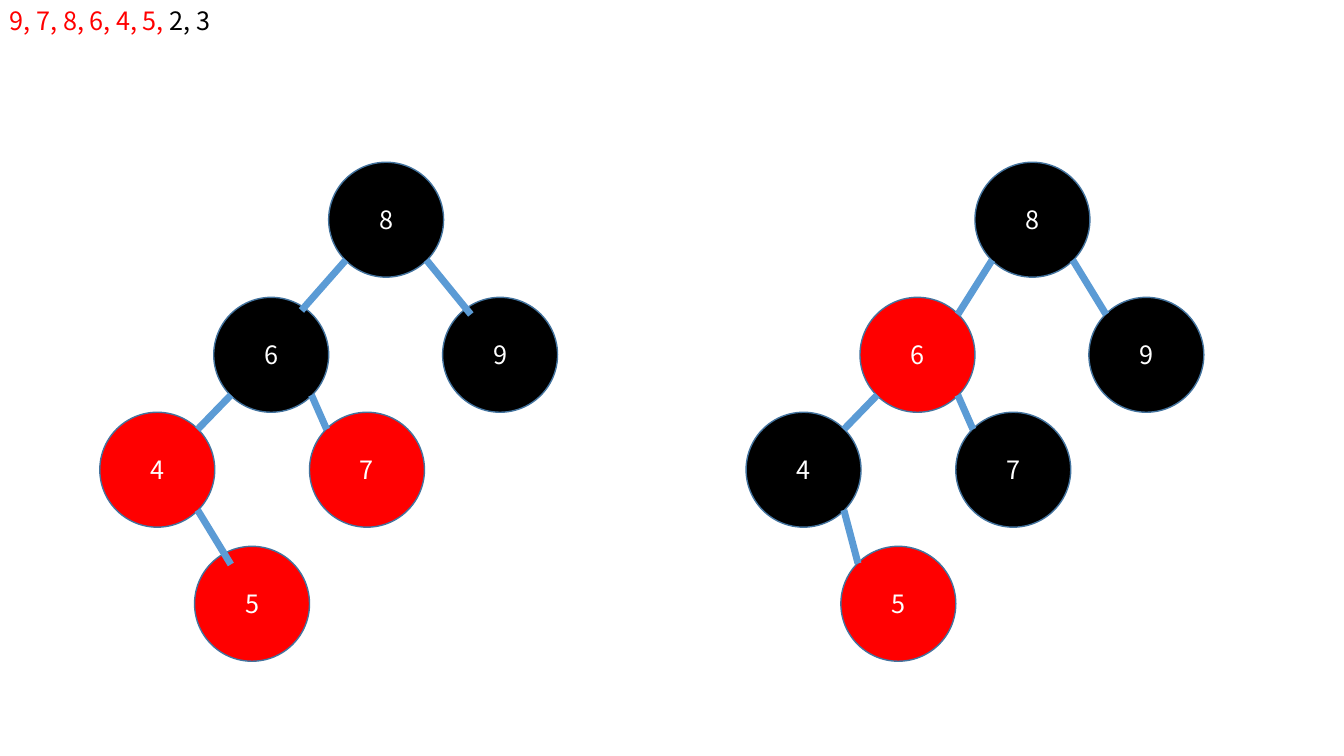
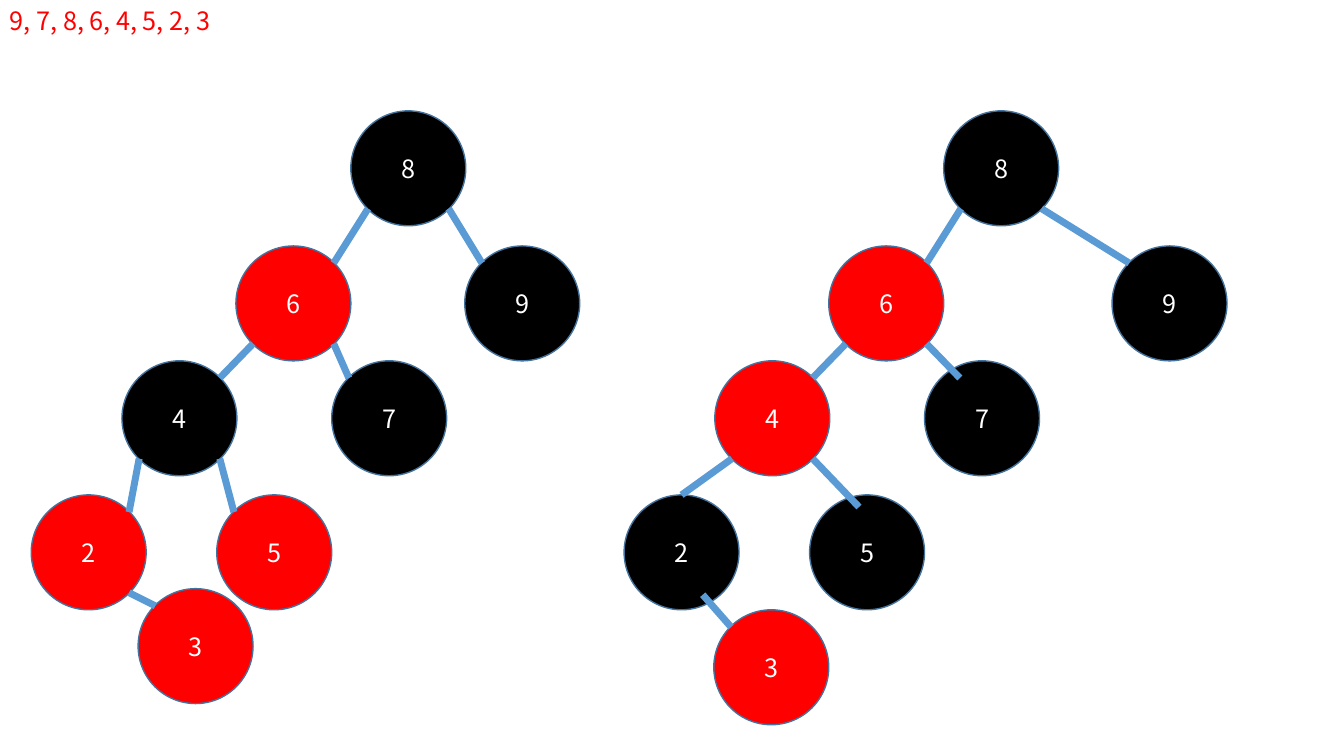
from dataclasses import dataclass, field

from pptx import Presentation
from pptx.dml.color import RGBColor
from pptx.enum.shapes import MSO_CONNECTOR as CONNECTOR, MSO_SHAPE as SHAPE
from pptx.enum.text import MSO_ANCHOR as ANCHOR, MSO_AUTO_SIZE as AUTO_SIZE, PP_ALIGN as ALIGN
from pptx.oxml.ns import qn
from pptx.util import Inches, Pt
from lxml.etree import SubElement

COLORS = {
    "red": "FF0000",
    "black": "000000",
    "label": "FFFFFF",
    "outline": "43739E",
    "edge": "5B9BD5",
}
FONT_FORMAT = {"name": "Noto Sans CJK KR", "size": Pt(18)}
NODE_TEXT_FORMAT = {"vertical_anchor": ANCHOR.MIDDLE, "word_wrap": True}
SEQUENCE_TEXT_FORMAT = {"word_wrap": True, "auto_size": AUTO_SIZE.SHAPE_TO_FIT_TEXT}

NODE_SIZE = 1.14
NEAR, FAR = 0.17, 0.97
TOP_SITE = 0
TOP_CENTER = (NODE_SIZE / 2, 0)
ROOT = 8
PARENTS = {6: 8, 9: 8, 4: 6, 7: 6, 5: 4, 2: 4, 3: 2}
OFFSETS = {
    8: (0, 0),
    6: (-1.14, 1.34),
    9: (1.13, 1.34),
    4: (-2.27, 2.48),
    7: (-0.19, 2.48),
    5: (-1.33, 3.81),
    2: (-3.17, 3.81),
    3: (-2.11, 4.74),
}


@dataclass
class Tree:
    left: float
    top: float
    keys: tuple
    red: tuple
    moved: dict = field(default_factory=dict)
    edge_starts: dict = field(default_factory=dict)
    edge_ends: dict = field(default_factory=dict)


BEFORE_RECOLOR = Tree(
    3.26, 1.61, (8, 6, 9, 4, 7, 5), (4, 7, 5),
    edge_ends={6: (0.87, 0.13), 9: (0.28, NEAR), 5: (0.36, 0.18)},
)
AFTER_RECOLOR = Tree(9.67, 1.61, (8, 6, 9, 4, 7, 5), (6, 5))
BEFORE_SPLIT = Tree(3.48, 1.1, (8, 6, 9, 4, 7, 5, 2, 3), (6, 5, 2, 3))
AFTER_SPLIT = Tree(
    9.36, 1.1, (8, 6, 9, 4, 7, 5, 2, 3), (6, 4, 3),
    moved={9: (1.67, 1.34), 3: (-2.28, 4.95)},
    edge_starts={3: (0.78, 0.99)},
    edge_ends={7: (0.35, NEAR), 5: (0.49, 0.12), 2: TOP_CENTER},
)

SLIDES = [
    ([("9, 7, 8, 6, 4, 5,", "red"), (" 2, 3", "black")], [BEFORE_RECOLOR, AFTER_RECOLOR]),
    ([("9, 7, 8, 6, 4, 5, 2, 3", "red")], [BEFORE_SPLIT, AFTER_SPLIT]),
]


def color(name):
    return RGBColor.from_string(COLORS[name])


def apply_format(target, values):
    for attribute, value in values.items():
        setattr(target, attribute, value)


def add_text(paragraph, text, color_name):
    run = paragraph.add_run()
    run.text = text
    apply_format(run.font, FONT_FORMAT)
    run.font.color.rgb = color(color_name)


def style_line(line, color_name, width):
    line.color.rgb = color(color_name)
    line.width = Pt(width)


def add_node(slide, left, top, key, color_name):
    node = slide.shapes.add_shape(
        SHAPE.OVAL, Inches(left), Inches(top), Inches(NODE_SIZE), Inches(NODE_SIZE)
    )
    node.shadow.inherit = False
    node.fill.solid()
    node.fill.fore_color.rgb = color(color_name)
    style_line(node.line, "outline", 1)
    apply_format(node.text_frame, NODE_TEXT_FORMAT)
    label = node.text_frame.paragraphs[0]
    label.alignment = ALIGN.CENTER
    add_text(label, str(key), "label")
    return node


def add_edge(slide, start, end):
    edge = slide.shapes.add_connector(
        CONNECTOR.STRAIGHT, *[Inches(length) for length in (*start, *end)]
    )
    style_line(edge.line, "edge", 5)
    SubElement(edge._element.spPr, qn("a:effectLst"))
    return edge


def draw_tree(slide, tree):
    offsets = {**OFFSETS, **tree.moved}
    corners = {
        key: (tree.left + offsets[key][0], tree.top + offsets[key][1]) for key in tree.keys
    }
    nodes = {
        key: add_node(slide, *corners[key], key, "red" if key in tree.red else "black")
        for key in tree.keys
    }
    for child in tree.keys:
        if child == ROOT:
            continue
        parent = PARENTS[child]
        start_x, end_x = (NEAR, FAR) if child < parent else (FAR, NEAR)
        start = tree.edge_starts.get(child, (start_x, FAR))
        end = tree.edge_ends.get(child, (end_x, NEAR))
        edge = add_edge(
            slide,
            [sum(pair) for pair in zip(corners[parent], start)],
            [sum(pair) for pair in zip(corners[child], end)],
        )
        if end == TOP_CENTER:
            edge.end_connect(nodes[child], TOP_SITE)


def add_sequence(slide, left, top, parts):
    sequence = slide.shapes.add_textbox(
        Inches(left), Inches(top), Inches(5.92), Inches(0.4)
    )
    apply_format(sequence.text_frame, SEQUENCE_TEXT_FORMAT)
    for text, color_name in parts:
        add_text(sequence.text_frame.paragraphs[0], text, color_name)


def main():
    presentation = Presentation()
    apply_format(presentation, {"slide_width": Inches(13.33), "slide_height": Inches(7.5)})
    blank = presentation.slide_layouts[6]
    for sequence_parts, trees in SLIDES:
        slide = presentation.slides.add_slide(blank)
        for tree in trees:
            draw_tree(slide, tree)
        add_sequence(slide, 0, 0, sequence_parts)
    presentation.save("out.pptx")


if __name__ == "__main__":
    main()
